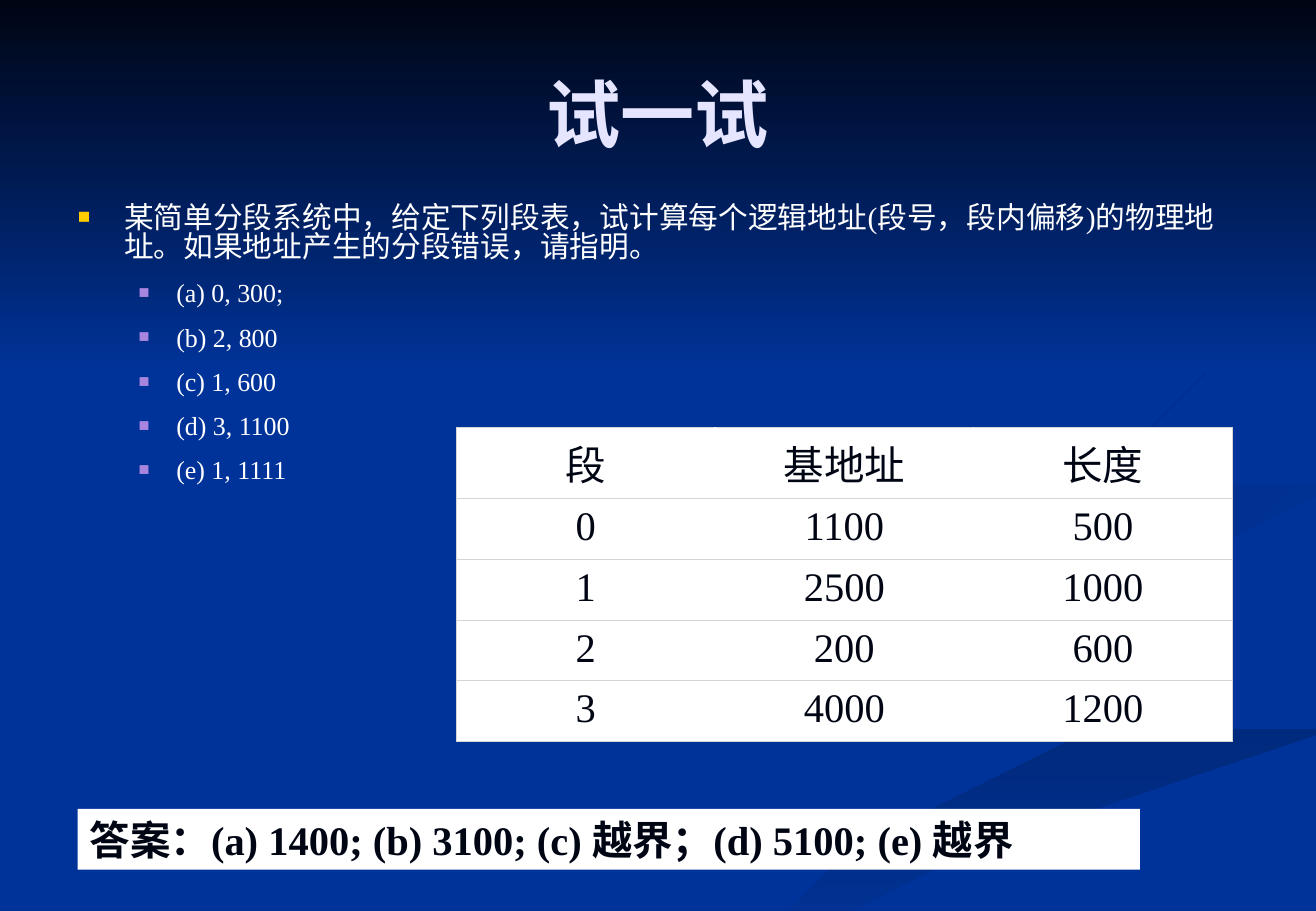
import pptx
import pptx.util
import pptx.dml.color
import pptx.enum.shapes
import pptx.enum.text
import pptx.oxml

Inch = pptx.util.Inches
Point = pptx.util.Pt
align = pptx.enum.text.PP_ALIGN
anchor = pptx.enum.text.MSO_ANCHOR
box = pptx.enum.shapes.MSO_SHAPE.RECTANGLE
NS = 'xmlns:a="http://schemas.openxmlformats.org/drawingml/2006/main"'
FONT = "Times New Roman"
BLUE, INK, WHITE, GREY = "003399", "000514", "FFFFFF", "D5D5D5"


def paint(part, tone):
    """Give a fill or a font one solid colour."""
    fill = getattr(part, "fill", part)
    fill.solid()
    fill.fore_color.rgb = pptx.dml.color.RGBColor.from_string(tone)


def blend(shape, first, last, angle):
    """Fill a borderless shape with a two-colour gradient."""
    shape.shadow.inherit = False
    shape.line.fill.background()
    shape.fill.gradient()
    shape.fill.gradient_angle = -angle % 360
    for stop, tone in zip(shape.fill.gradient_stops, (first, last)):
        stop.color.rgb = pptx.dml.color.RGBColor.from_string(tone)


deck = pptx.Presentation()
deck.slide_width, deck.slide_height = Inch(10.84), Inch(7.5)
wide, high = deck.slide_width, deck.slide_height
slide = deck.slides.add_slide(deck.slide_layouts[1])
shapes = slide.shapes
paint(slide.background, BLUE)

# Background ribbons: first colour, angle, outline
ribbons = [
    ("002A7D", 90, [(5.5, 7.5), (6.2, 7.5), (8.1, 6.7), (10.8, 6.1),
                    (10.8, 5.8), (8.6, 6.4), (6.8, 6.9)]),
    ("002D86", 45, [(8.5, 4.6), (8.9, 4.9), (8.8, 4.6), (10.8, 4.2),
                    (10.8, 4), (8.9, 4.3)]),
    ("002B82", 45, [(8.3, 2.3), (9.6, 3.3), (9.3, 3.7), (6.4, 4.4),
                    (9.3, 3.9), (9.7, 3.4), (9.4, 2.9)]),
]
for first, angle, points in ribbons:
    pen = shapes.build_freeform(*points[0], scale=Inch(1))
    pen.add_line_segments(points[1:], close=True)
    blend(pen.convert_to_shape(), first, BLUE, angle)

# Dark sky across the top
sky = shapes.add_shape(box, 0, 0, wide, int(high * 0.41))
blend(sky, INK, BLUE, 90)

# Title and list stand in front of the background
title, body = slide.placeholders
for holder, top, tall in ((title, 0.3, 1.25), (body, 1.63, 2.36)):
    shapes.element.append(holder.element)
    holder.left, holder.top = int(wide * 0.05), Inch(top)
    holder.width, holder.height = int(wide * 0.9), Inch(tall)

title.text_frame.text = "试一试"
title.text_frame.vertical_anchor = anchor.MIDDLE
head = title.text_frame.paragraphs[0]
head.alignment = align.CENTER
head.font.name, head.font.size, head.font.bold = FONT, Point(44), True
paint(head.font, "E5E5FF")

# Question and its five addresses
lines = [
    "某简单分段系统中，给定下列段表，试计算每个逻辑地址(段号，段内偏移)的物理地址。如果地址产生的分段错误，请指明。",
    "(a) 0, 300;", "(b) 2, 800", "(c) 1, 600", "(d) 3, 1100", "(e) 1, 1111"]
body.text_frame.text = "\n".join(lines)
body.text_frame.auto_size = pptx.enum.text.MSO_AUTO_SIZE.NONE
for row, para in enumerate(body.text_frame.paragraphs):
    para.level = min(row, 1)
    size, left, hang, tone, gap, pitch = (
        (15.4, 0.81, 0.31, "A886E0", 7.7, 1.0) if row
        else (17.6, 0.38, 0.38, "FFCC00", 0, 0.84))
    para.space_before, para.line_spacing = Point(gap), pitch
    props = para._p.get_or_add_pPr()
    props.set("marL", str(Inch(left)))
    props.set("indent", str(-Inch(hang)))
    for mark in (f'<a:buClr {NS}><a:srgbClr val="{tone}"/></a:buClr>',
                 f'<a:buSzPct {NS} val="70000"/>',
                 f'<a:buChar {NS} char="■"/>'):
        props.append(pptx.oxml.parse_xml(mark))
    para.font.name, para.font.size = FONT, Point(size)
    paint(para.font, WHITE)

# Segment table
cells = [("段", "基地址", "长度"), ("0", "1100", "500"), ("1", "2500", "1000"),
         ("2", "200", "600"), ("3", "4000", "1200")]
table = shapes.add_table(5, 3, Inch(3.76), Inch(3.52), Inch(6.39), Inch(2.6)).table
for row, texts in enumerate(cells):
    table.rows[row].height = Inch(0.5 if row else 0.57)
    for col, text in enumerate(texts):
        cell = table.cell(row, col)
        cell.text_frame.text = text
        para = cell.text_frame.paragraphs[0]
        para.alignment = align.CENTER
        para.font.name, para.font.size, para.font.bold = FONT, Point(24), False
        paint(para.font, INK)
        paint(cell, WHITE)
        sides = ["L"] * (col == 0) + ["R"] * (col == 2) + ["T", "B"]
        props = cell._tc.get_or_add_tcPr()
        for spot, side in enumerate(sides):
            props.insert(spot, pptx.oxml.parse_xml(
                f'<a:ln{side} {NS} w="{Point(0.34)}"><a:solidFill>'
                f'<a:srgbClr val="{GREY}"/></a:solidFill></a:ln{side}>'))

# Answer bar
bar = shapes.add_shape(box, Inch(0.64), Inch(6.66), Inch(8.75), Inch(0.5))
bar.shadow.inherit = False
bar.line.fill.background()
paint(bar, WHITE)
bar.text_frame.text = "答案：(a) 1400; (b) 3100; (c) 越界；(d) 5100; (e) 越界"
bar.text_frame.vertical_anchor = anchor.MIDDLE
para = bar.text_frame.paragraphs[0]
para.alignment = align.LEFT
para.font.name, para.font.size, para.font.bold = FONT, Point(24), True
paint(para.font, INK)

deck.save("out.pptx")
